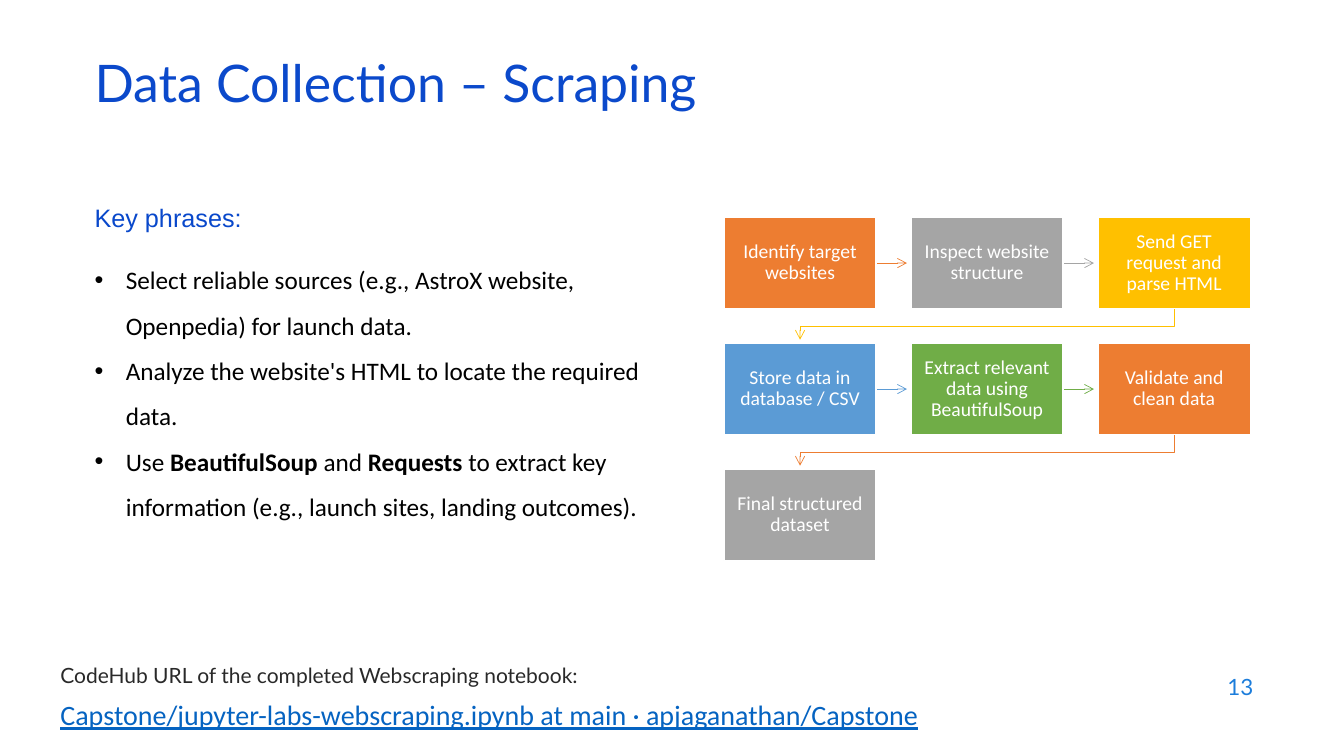
from pptx import Presentation
from pptx.dml.color import RGBColor
from pptx.enum.shapes import MSO_CONNECTOR, MSO_SHAPE
from pptx.enum.text import MSO_ANCHOR, PP_ALIGN
from pptx.oxml.ns import qn
from pptx.util import Inches, Pt
from lxml import etree

RECTANGLE = MSO_SHAPE.RECTANGLE
STRAIGHT = MSO_CONNECTOR.STRAIGHT
MIDDLE = MSO_ANCHOR.MIDDLE
TOP = MSO_ANCHOR.TOP
CENTER = PP_ALIGN.CENTER
RIGHT = PP_ALIGN.RIGHT

WHITE = RGBColor(0xFF, 0xFF, 0xFF)
BLACK = RGBColor(0x00, 0x00, 0x00)
CHARCOAL = RGBColor(0x29, 0x29, 0x29)
TITLE_BLUE = RGBColor(0x0B, 0x49, 0xCB)
HEADING_BLUE = RGBColor(0x09, 0x48, 0xCB)
NUMBER_BLUE = RGBColor(0x1C, 0x7D, 0xDB)
LINK_BLUE = RGBColor(0x05, 0x63, 0xC1)
ORANGE = RGBColor(0xED, 0x7D, 0x31)
GRAY = RGBColor(0xA5, 0xA5, 0xA5)
GOLD = RGBColor(0xFF, 0xC0, 0x00)
BLUE = RGBColor(0x5B, 0x9B, 0xD5)
GREEN = RGBColor(0x70, 0xAD, 0x47)

STEPS = [
    ("Identify target websites", ORANGE),
    ("Inspect website structure", GRAY),
    ("Send GET request and parse HTML", GOLD),
    ("Store data in database / CSV", BLUE),
    ("Extract relevant data using BeautifulSoup", GREEN),
    ("Validate and clean data", ORANGE),
    ("Final structured dataset", GRAY),
]
COLUMNS = 3
STEP_WIDTH, STEP_HEIGHT = 1.51, 0.9
ROW_PITCH = 1.25
ARROW_GAP = 0.04

BULLETS = [
    [("Select reliable sources (e.g., AstroX website, Openpedia) for launch data.", False)],
    [("Analyze the website's HTML to locate the required data.", False)],
    [("Use ", False), ("BeautifulSoup", True), (" and ", False), ("Requests", True),
     (" to extract key information (e.g., launch sites, landing outcomes).", False)],
]


def style(font, name, size, color):
    font.name = name
    font.size = Pt(size)
    font.color.rgb = color


def add_text_box(page, left, top, width, height, anchor=TOP):
    box = page.shapes.add_textbox(Inches(left), Inches(top), Inches(width), Inches(height))
    box.text_frame.word_wrap = True
    box.text_frame.vertical_anchor = anchor
    return box.text_frame


def add_line_of_text(frame, text, name, size, color):
    para = frame.paragraphs[0] if not frame.text else frame.add_paragraph()
    para.text = text
    style(para.runs[0].font, name, size, color)
    return para


def add_title(page, left, top, width, height):
    frame = add_text_box(page, left, top, width, height, MIDDLE)
    para = add_line_of_text(frame, "Data Collection – Scraping", "Lato", 37, TITLE_BLUE)
    para.line_spacing = 0.7


def add_bullet(para):
    properties = para._p.get_or_add_pPr()
    properties.set("marL", str(Inches(0.31)))
    properties.set("indent", str(-Inches(0.31)))
    etree.SubElement(properties, qn("a:buFont")).set("typeface", "Arial")
    etree.SubElement(properties, qn("a:buChar")).set("char", "•")


def add_key_phrases(page, left, top, width, height):
    frame = add_text_box(page, left, top, width, height)
    heading = add_line_of_text(frame, "Key phrases:", "Arial", 18, HEADING_BLUE)
    heading.space_after = Pt(12)
    for pieces in BULLETS:
        para = frame.add_paragraph()
        add_bullet(para)
        para.line_spacing = 1.5
        for text, bold in pieces:
            span = para.add_run()
            span.text = text
            style(span.font, "Calibri", 18, BLACK)
            span.font.bold = bold


def finish_arrow(arrow, color):
    arrow.line.color.rgb = color
    arrow.line.width = Pt(0.5)
    etree.SubElement(arrow.line._get_or_add_ln(), qn("a:tailEnd")).set("type", "arrow")


def add_straight_arrow(page, start, end, y, color):
    arrow = page.shapes.add_connector(STRAIGHT, Inches(start), Inches(y), Inches(end), Inches(y))
    finish_arrow(arrow, color)
    etree.SubElement(arrow._element.spPr, qn("a:effectLst"))


def add_return_arrow(page, start_x, start_y, end_x, end_y, color):
    turn_y = start_y + (ROW_PITCH - STEP_HEIGHT) / 2
    builder = page.shapes.build_freeform(Inches(start_x), Inches(start_y))
    corners = [(start_x, turn_y), (end_x, turn_y), (end_x, end_y)]
    builder.add_line_segments([(Inches(x), Inches(y)) for x, y in corners], close=False)
    arrow = builder.convert_to_shape()
    arrow.fill.background()
    arrow.shadow.inherit = False
    finish_arrow(arrow, color)


def add_step(page, left, top, label, color):
    box = page.shapes.add_shape(
        RECTANGLE, Inches(left), Inches(top), Inches(STEP_WIDTH), Inches(STEP_HEIGHT))
    box.shadow.inherit = False
    box.fill.solid()
    box.fill.fore_color.rgb = color
    box.line.color.rgb = WHITE
    box.line.width = Pt(1)
    frame = box.text_frame
    frame.word_wrap = True
    frame.vertical_anchor = MIDDLE
    frame.margin_left = frame.margin_right = Inches(0.11)
    frame.margin_top = frame.margin_bottom = Inches(0.11)
    para = add_line_of_text(frame, label, "Calibri", 14, WHITE)
    para.alignment = CENTER
    para.line_spacing = 0.9


def add_process(page, left, top, width):
    pitch = (width - STEP_WIDTH) / (COLUMNS - 1)
    for index, (label, color) in enumerate(STEPS):
        row, column = divmod(index, COLUMNS)
        x, y = left + column * pitch, top + row * ROW_PITCH
        if index < len(STEPS) - 1:
            if column < COLUMNS - 1:
                add_straight_arrow(page, x + STEP_WIDTH, x + pitch - ARROW_GAP,
                                   y + STEP_HEIGHT / 2, color)
            else:
                add_return_arrow(page, x + STEP_WIDTH / 2, y + STEP_HEIGHT,
                                 left + STEP_WIDTH / 2, y + ROW_PITCH - ARROW_GAP, color)
        add_step(page, x, y, label, color)


def add_notebook_link(page, left, top, width, height):
    frame = add_text_box(page, left, top, width, height)
    add_line_of_text(frame, "CodeHub URL of the completed Webscraping notebook:",
                     "Lato", 15, CHARCOAL)
    link = add_line_of_text(
        frame, "Capstone/jupyter-labs-webscraping.ipynb at main · apjaganathan/Capstone",
        "Calibri", 20, LINK_BLUE)
    link.runs[0].font.underline = True
    link.line_spacing = 0.9
    link.space_before = Pt(10)


def add_page_number(page, left, top, width, height):
    frame = add_text_box(page, left, top, width, height, MIDDLE)
    para = add_line_of_text(frame, "13", "Lato", 16, NUMBER_BLUE)
    para.alignment = RIGHT


def main():
    deck = Presentation()
    deck.slide_width, deck.slide_height = Inches(13.33), Inches(7.5)
    page = deck.slides.add_slide(deck.slide_layouts[6])
    add_page_number(page, 9.53, 6.59, 3, 0.44)
    add_process(page, 7.18, 2.16, 5.22)
    add_notebook_link(page, 0.5, 6.52, 11.09, 0.81)
    add_title(page, 0.84, 0.59, 11.5, 0.6)
    add_key_phrases(page, 0.84, 1.96, 5.73, 3.25)
    deck.save("out.pptx")


if __name__ == "__main__":
    main()
